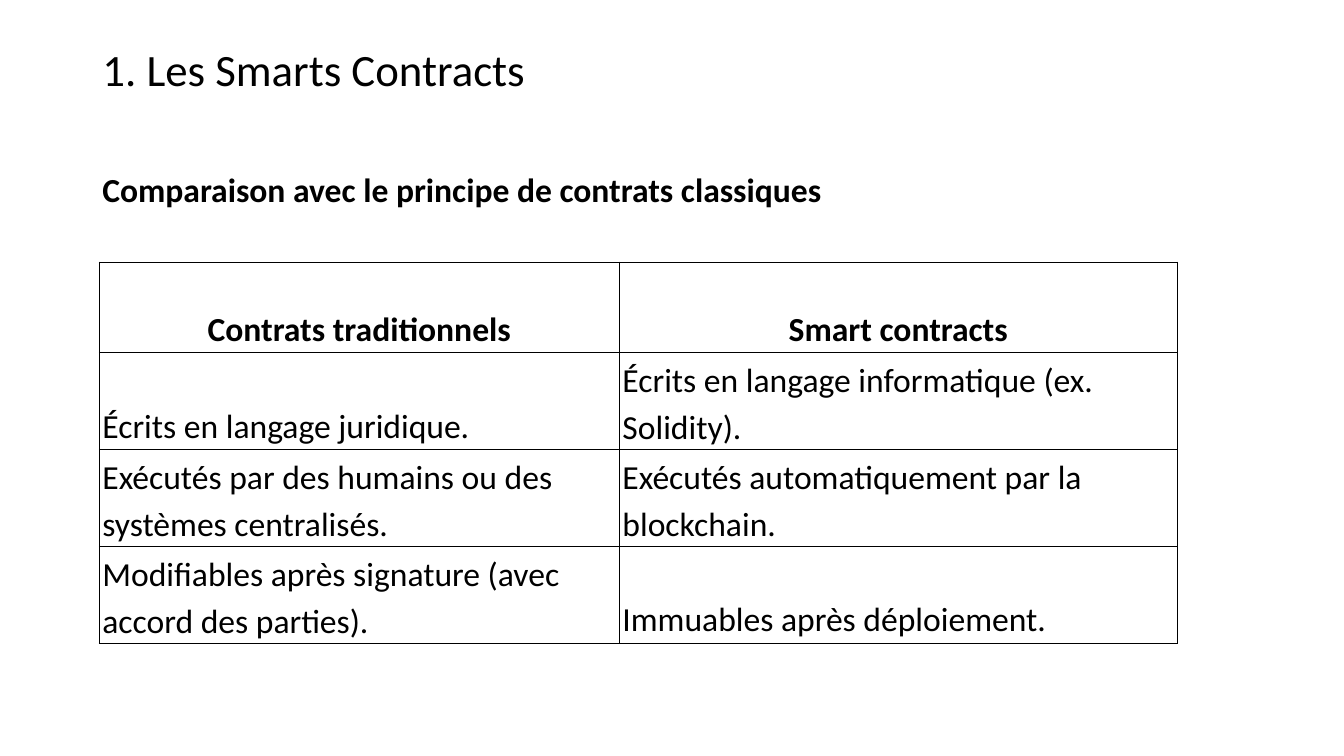
from lxml import etree
from pptx import Presentation
from pptx import util as u
from pptx.dml.color import RGBColor
from pptx.enum import text
from pptx.oxml.ns import qn

COLORS = {"ink": "000000", "paper": "FFFFFF"}
COMPARISON = [
    ("Contrats traditionnels", "Smart contracts"),
    ("Écrits en langage juridique.", "Écrits en langage informatique (ex. Solidity)."),
    ("Exécutés par des humains ou des systèmes centralisés.",
     "Exécutés automatiquement par la blockchain."),
    ("Modifiables après signature (avec accord des parties).",
     "Immuables après déploiement."),
]


class SlideBuilder:
    font_name = "Calibri"
    body_size = 24
    line_spacing = 1.15
    border_width = 0.75

    def __init__(self, presentation):
        self.slide = presentation.slides.add_slide(presentation.slide_layouts[5])
        background = self.slide.background.fill
        background.solid()
        background.fore_color.rgb = RGBColor.from_string(COLORS["paper"])

    def add_text(self, paragraph, content, size, bold=False, spacing=line_spacing,
                 alignment=text.PP_ALIGN.LEFT):
        paragraph.alignment = alignment
        paragraph.line_spacing = spacing
        run = paragraph.add_run()
        run.text = content
        run.font.name = self.font_name
        run.font.size = u.Pt(size)
        run.font.bold = bold
        run.font.color.rgb = RGBColor.from_string(COLORS["ink"])

    def title(self, content, left, top, width, height):
        shape = self.slide.shapes.title
        shape.left, shape.top = u.Pt(left), u.Pt(top)
        shape.width, shape.height = u.Pt(width), u.Pt(height)
        frame = shape.text_frame
        frame.auto_size = text.MSO_AUTO_SIZE.NONE
        frame.vertical_anchor = text.MSO_ANCHOR.MIDDLE
        self.add_text(frame.paragraphs[0], content, 32, spacing=0.9)

    def subtitle(self, content, left, top, width, height):
        shape = self.slide.shapes.add_textbox(
            u.Pt(left), u.Pt(top), u.Pt(width), u.Pt(height))
        frame = shape.text_frame
        frame.word_wrap = True
        frame.auto_size = text.MSO_AUTO_SIZE.SHAPE_TO_FIT_TEXT
        paragraph = frame.paragraphs[0]
        paragraph.space_before = paragraph.space_after = u.Pt(12)
        self.add_text(paragraph, content, self.body_size, bold=True)

    def table(self, rows, left, top, column_widths, row_height):
        table = self.slide.shapes.add_table(
            len(rows), len(column_widths), u.Pt(left), u.Pt(top),
            u.Pt(sum(column_widths)), u.Pt(row_height * len(rows))).table
        table.horz_banding = False
        for column, width in zip(table.columns, column_widths):
            column.width = u.Pt(width)
        for row_index, row in enumerate(rows):
            header = row_index == 0
            alignment = text.PP_ALIGN.CENTER if header else text.PP_ALIGN.LEFT
            for column_index, content in enumerate(row):
                cell = table.cell(row_index, column_index)
                cell.fill.background()
                cell.vertical_anchor = text.MSO_ANCHOR.BOTTOM
                cell.margin_left = cell.margin_right = u.Pt(2.25)
                cell.margin_top = cell.margin_bottom = u.Pt(1.5)
                self.add_text(cell.text_frame.paragraphs[0], content, self.body_size,
                              bold=header, alignment=alignment)
                self.borders(cell)

    def borders(self, cell):
        """Outline a cell; the lines must precede its fill in the XML."""
        properties = cell._tc.get_or_add_tcPr()
        for position, side in enumerate(("lnL", "lnR", "lnT", "lnB")):
            line = etree.Element(qn(f"a:{side}"), w=str(u.Pt(self.border_width)))
            fill = etree.SubElement(line, qn("a:solidFill"))
            etree.SubElement(fill, qn("a:srgbClr"), val=COLORS["ink"])
            properties.insert(position, line)


def main():
    presentation = Presentation()
    presentation.slide_width, presentation.slide_height = u.Pt(960), u.Pt(540)
    builder = SlideBuilder(presentation)
    builder.title("1. Les Smarts Contracts", 66, 28.8, 828, 45.4)
    builder.subtitle("Comparaison avec le principe de contrats classiques",
                     66, 113, 828, 36)
    builder.table(COMPARISON, 70.9, 187.2, (371.5, 398.5), 64.5)
    presentation.save("out.pptx")


if __name__ == "__main__":
    main()
